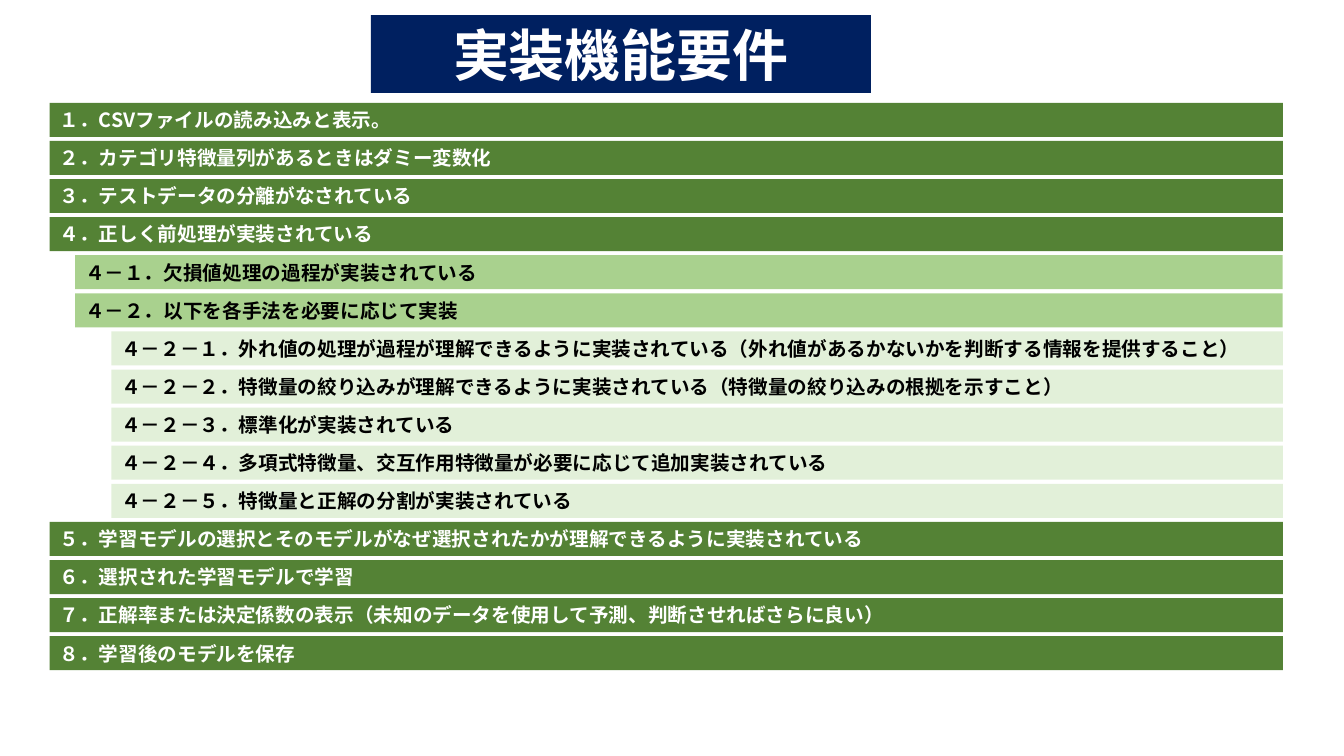
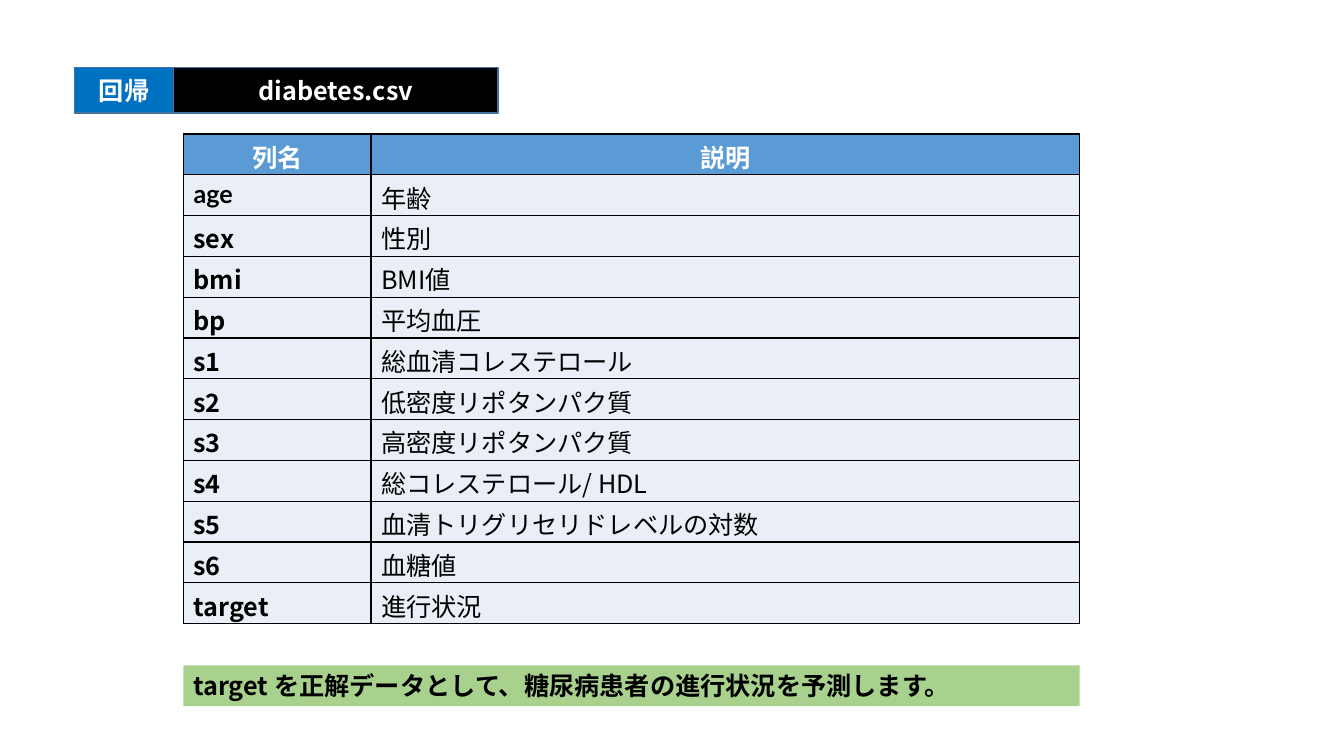
from dataclasses import dataclass

from lxml import etree
from pptx import Presentation
from pptx import util as u
from pptx.dml import color
from pptx.enum import shapes, text
from pptx.oxml import ns


@dataclass(frozen=True)
class Theme:
    font: str = "Noto Sans CJK JP"
    latin_font: str = "Lato"
    white: str = "FFFFFF"
    black: str = "000000"
    navy: str = "002060"
    blue: str = "0070C0"
    outline: str = "43739E"
    header: str = "5B9BD5"
    row: str = "EAEFF7"
    dark_green: str = "548235"
    green: str = "A9D18E"
    pale_green: str = "E2F0D9"
    title_size: int = 40
    item_size: int = 14
    body_size: int = 18


THEME = Theme()


def assign(target, values):
    for name, value in values.items():
        setattr(target, name, value)


def rgb(value):
    return color.RGBColor.from_string(value)


class Deck:
    def __init__(self, theme):
        self.theme = theme
        self.presentation = Presentation()
        assign(self.presentation, {"slide_width": u.Inches(13.333), "slide_height": u.Inches(7.5)})
        self.slide = None

    def new_slide(self):
        self.slide = self.presentation.slides.add_slide(self.presentation.slide_layouts[6])

    def across(self, percent):
        return round(self.presentation.slide_width * percent / 100)

    def down(self, percent):
        return round(self.presentation.slide_height * percent / 100)

    def place(self, left, top, width, height):
        return self.across(left), self.down(top), self.across(width), self.down(height)

    def label(self, frame, content, size, ink, bold=True, centred=False, font=None):
        paragraph = frame.paragraphs[0]
        paragraph.alignment = text.PP_ALIGN.CENTER if centred else text.PP_ALIGN.LEFT
        run = paragraph.add_run()
        run.text = content
        assign(run.font, {"name": font or self.theme.font, "size": u.Pt(size), "bold": bold})
        run.font.color.rgb = rgb(ink)
        east_asian = etree.SubElement(run._r.get_or_add_rPr(), ns.qn("a:ea"))
        east_asian.set("typeface", self.theme.font)

    def band(self, area, content, size, fill, ink, centred=False, outline=None):
        shape = self.slide.shapes.add_shape(shapes.MSO_SHAPE.RECTANGLE, *self.place(*area))
        shape.shadow.inherit = False
        shape.fill.solid()
        shape.fill.fore_color.rgb = rgb(fill)
        if outline:
            shape.line.color.rgb = rgb(outline)
            shape.line.width = u.Pt(1)
        else:
            shape.line.fill.background()
        assign(shape.text_frame, {"word_wrap": True, "vertical_anchor": text.MSO_ANCHOR.MIDDLE})
        self.label(shape.text_frame, content, size, ink, centred=centred)

    def cell(self, cell, content, fill, **style):
        assign(cell, {"margin_top": u.Inches(0.04), "margin_bottom": 0})
        properties = cell._tc.get_or_add_tcPr()
        for side in "LRTB":
            line = etree.SubElement(properties, ns.qn(f"a:ln{side}"), w=str(u.Pt(1)))
            paint = etree.SubElement(line, ns.qn("a:solidFill"))
            etree.SubElement(paint, ns.qn("a:srgbClr"), val=self.theme.black)
        cell.fill.solid()
        cell.fill.fore_color.rgb = rgb(fill)
        self.label(cell.text_frame, content, self.theme.body_size, **style)

    def table(self, left, top, column_widths, row_height, header, rows):
        theme = self.theme
        count = len(rows) + 1
        area = self.place(left, top, sum(column_widths), row_height * count)
        table = self.slide.shapes.add_table(count, len(header), *area).table
        for column, width in zip(table.columns, column_widths):
            column.width = self.across(width)
        for row in table.rows:
            row.height = self.down(row_height)
        for column, title in enumerate(header):
            self.cell(table.cell(0, column), title, theme.header, ink=theme.white, centred=True)
        for index, (name, meaning) in enumerate(rows, 1):
            font = theme.latin_font if index == 1 else theme.font
            self.cell(table.cell(index, 0), name, theme.row, ink=theme.black, font=font)
            self.cell(table.cell(index, 1), meaning, theme.row, ink=theme.black, bold=False)


REQUIREMENTS = [
    (0, "１．CSVファイルの読み込みと表示。"),
    (0, "２．カテゴリ特徴量列があるときはダミー変数化"),
    (0, "３．テストデータの分離がなされている"),
    (0, "４．正しく前処理が実装されている"),
    (1, "４－１．欠損値処理の過程が実装されている"),
    (1, "４－２．以下を各手法を必要に応じて実装"),
    (2, "４－２－１．外れ値の処理が過程が理解できるように実装されている（外れ値があるかないかを判断する情報を提供すること）"),
    (2, "４－２－２．特徴量の絞り込みが理解できるように実装されている（特徴量の絞り込みの根拠を示すこと）"),
    (2, "４－２－３．標準化が実装されている"),
    (2, "４－２－４．多項式特徴量、交互作用特徴量が必要に応じて追加実装されている"),
    (2, "４－２－５．特徴量と正解の分割が実装されている"),
    (0, "５．学習モデルの選択とそのモデルがなぜ選択されたかが理解できるように実装されている"),
    (0, "６．選択された学習モデルで学習"),
    (0, "７．正解率または決定係数の表示（未知のデータを使用して予測、判断させればさらに良い）"),
    (0, "８．学習後のモデルを保存"),
]

COLUMNS = [
    ("age", "年齢"),
    ("sex", "性別"),
    ("bmi", "BMI値"),
    ("bp", "平均血圧"),
    ("s1", "総血清コレステロール"),
    ("s2", "低密度リポタンパク質"),
    ("s3", "高密度リポタンパク質"),
    ("s4", "総コレステロール/ HDL"),
    ("s5", "血清トリグリセリドレベルの対数"),
    ("s6", "血糖値"),
    ("target", "進行状況"),
]


def requirements_slide(deck):
    theme = deck.theme
    levels = [
        (3.7, theme.dark_green, theme.white),
        (5.6, theme.green, theme.black),
        (8.28, theme.pale_green, theme.black),
    ]
    right, top, pitch, height = 95.45, 13.6, 5.04, 4.5
    deck.new_slide()
    deck.band((27.6, 2, 37.2, 10.3), "実装機能要件", theme.title_size, theme.navy, theme.white, True)
    for index, (level, content) in enumerate(REQUIREMENTS):
        left, fill, ink = levels[level]
        area = (left, top + index * pitch, right - left, height)
        deck.band(area, content, theme.item_size, fill, ink)


def dataset_slide(deck):
    theme = deck.theme
    left, widths = 13.65, (13.95, 52.73)
    deck.new_slide()
    deck.table(left, 17.73, widths, 5.4, ("列名", "説明"), COLUMNS)
    labels = [
        (12.9, 24.15, "diabetes.csv", theme.black),
        (5.55, 7.35, "回帰", theme.blue),
    ]
    for label_left, width, content, fill in labels:
        area = (label_left, 8.95, width, 6)
        deck.band(area, content, theme.body_size, fill, theme.white, True, theme.outline)
    summary = "target を正解データとして、糖尿病患者の進行状況を予測します。"
    deck.band((left, 88, sum(widths), 5.4), summary, theme.body_size, theme.green, theme.black)


deck = Deck(THEME)
requirements_slide(deck)
dataset_slide(deck)
deck.presentation.save("out.pptx")
